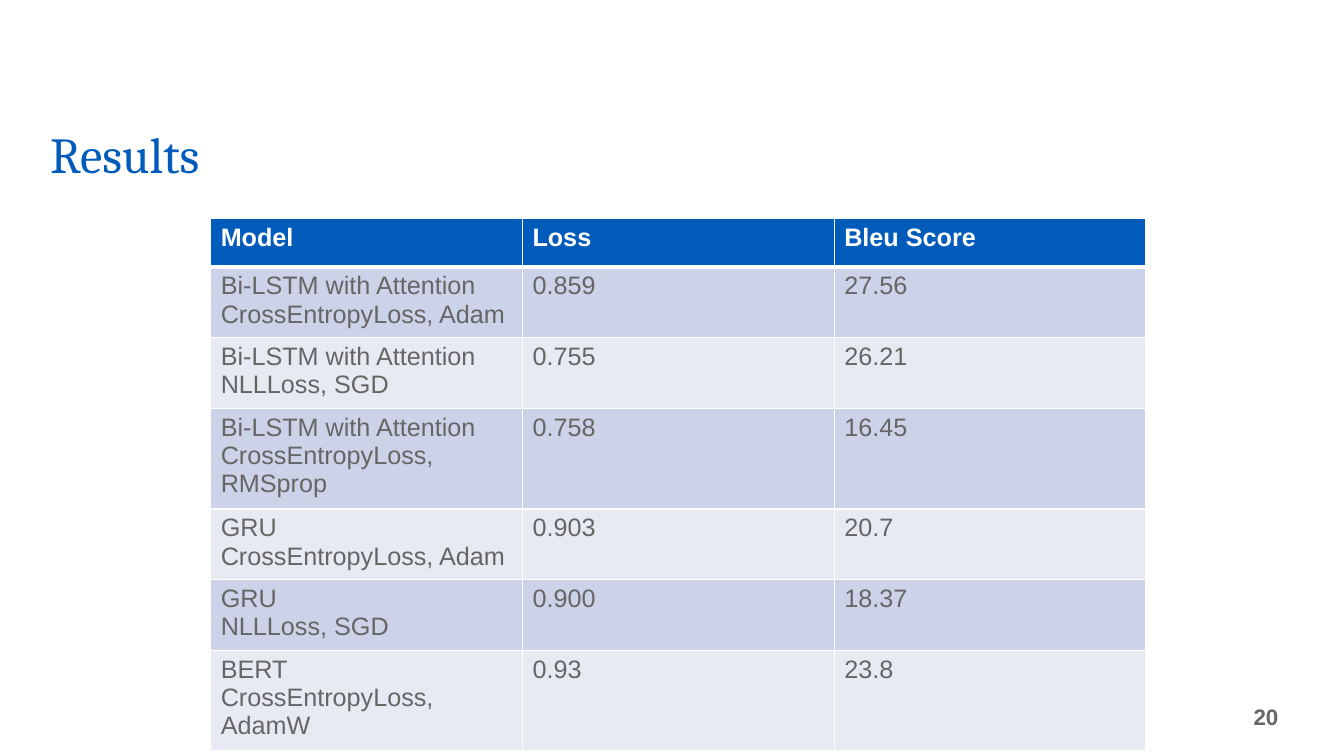
from lxml.etree import SubElement
from pptx import Presentation
from pptx.dml.color import RGBColor
from pptx.enum.text import MSO_ANCHOR, PP_ALIGN
from pptx.oxml.ns import qn
from pptx.util import Pt

BLUE, GREY, WHITE = "005BBB", "666666", "FFFFFF"
BANDS = ("CCD2E7", "E7EAF3")
HEADINGS = ("Model", "Loss", "Bleu Score")
RESULTS = (
    (("Bi-LSTM with Attention", "CrossEntropyLoss, Adam"), "0.859", "27.56"),
    (("Bi-LSTM with Attention", "NLLLoss, SGD"), "0.755", "26.21"),
    (("Bi-LSTM with Attention", "CrossEntropyLoss, RMSprop"), "0.758", "16.45"),
    (("GRU", "CrossEntropyLoss, Adam"), "0.903", "20.7"),
    (("GRU", "NLLLoss, SGD"), "0.900", "18.37"),
    (("BERT", "CrossEntropyLoss, AdamW"), "0.93", "23.8"),
)
ROW_HEIGHTS = (34.5, 47.5, 47.5, 67.5, 47.5, 47.5, 67.5)
COLUMN_WIDTH = 222.7


def color(code):
    return RGBColor.from_string(code)


def add_run(paragraph, text, size, ink, font="Arial", bold=False):
    run = paragraph.add_run()
    run.text = text
    run.font.name = font
    run.font.size = Pt(size)
    run.font.bold = bold
    run.font.color.rgb = color(ink)


def add_text_box(slide, left, top, width, height, anchor):
    """Add an empty wrapping box and return its first paragraph."""
    frame = slide.shapes.add_textbox(Pt(left), Pt(top), Pt(width), Pt(height)).text_frame
    frame.word_wrap = True
    frame.vertical_anchor = anchor
    return frame.paragraphs[0]


def set_borders(cell, bottom, top):
    properties = cell._tc.get_or_add_tcPr()
    for side, width in (("L", 1), ("R", 1), ("T", top), ("B", bottom)):
        line = SubElement(properties, qn(f"a:ln{side}"), w=str(Pt(width)))
        fill = SubElement(line, qn("a:solidFill"))
        SubElement(fill, qn("a:srgbClr"), val=WHITE)


def fill_cell(cell, lines, background, ink, bold=False, bottom=1, top=1):
    set_borders(cell, bottom, top)
    cell.fill.solid()
    cell.fill.fore_color.rgb = color(background)
    frame = cell.text_frame
    for index, line in enumerate(lines):
        paragraph = frame.add_paragraph() if index else frame.paragraphs[0]
        add_run(paragraph, line, 18, ink, bold=bold)


def add_results_table(slide, left, top):
    table = slide.shapes.add_table(
        len(ROW_HEIGHTS), len(HEADINGS), Pt(left), Pt(top),
        Pt(COLUMN_WIDTH * len(HEADINGS)), Pt(sum(ROW_HEIGHTS))).table
    for column in table.columns:
        column.width = Pt(COLUMN_WIDTH)
    for row, height in zip(table.rows, ROW_HEIGHTS):
        row.height = Pt(height)
    for column, heading in enumerate(HEADINGS):
        fill_cell(table.cell(0, column), [heading], BLUE, WHITE, bold=True, bottom=3)
    for row, (model, loss, score) in enumerate(RESULTS, start=1):
        for column, lines in enumerate((model, [loss], [score])):
            fill_cell(table.cell(row, column), lines, BANDS[(row - 1) % 2], GREY,
                      top=3 if row == 1 else 1)


def main():
    presentation = Presentation()
    presentation.slide_width = Pt(960)
    presentation.slide_height = Pt(540)
    slide = presentation.slides.add_slide(presentation.slide_layouts[6])

    title = add_text_box(slide, 28.8, 88.5, 547.2, 46.8, MSO_ANCHOR.BOTTOM)
    title.line_spacing = 0.9
    add_run(title, "Results", 36, BLUE, font="Cambria")

    add_results_table(slide, 150.5, 156.2)

    page_number = add_text_box(slide, 596.2, 497.5, 324, 28.8, MSO_ANCHOR.MIDDLE)
    page_number.alignment = PP_ALIGN.RIGHT
    add_run(page_number, "20", 16, GREY, bold=True)

    presentation.save("out.pptx")


if __name__ == "__main__":
    main()
